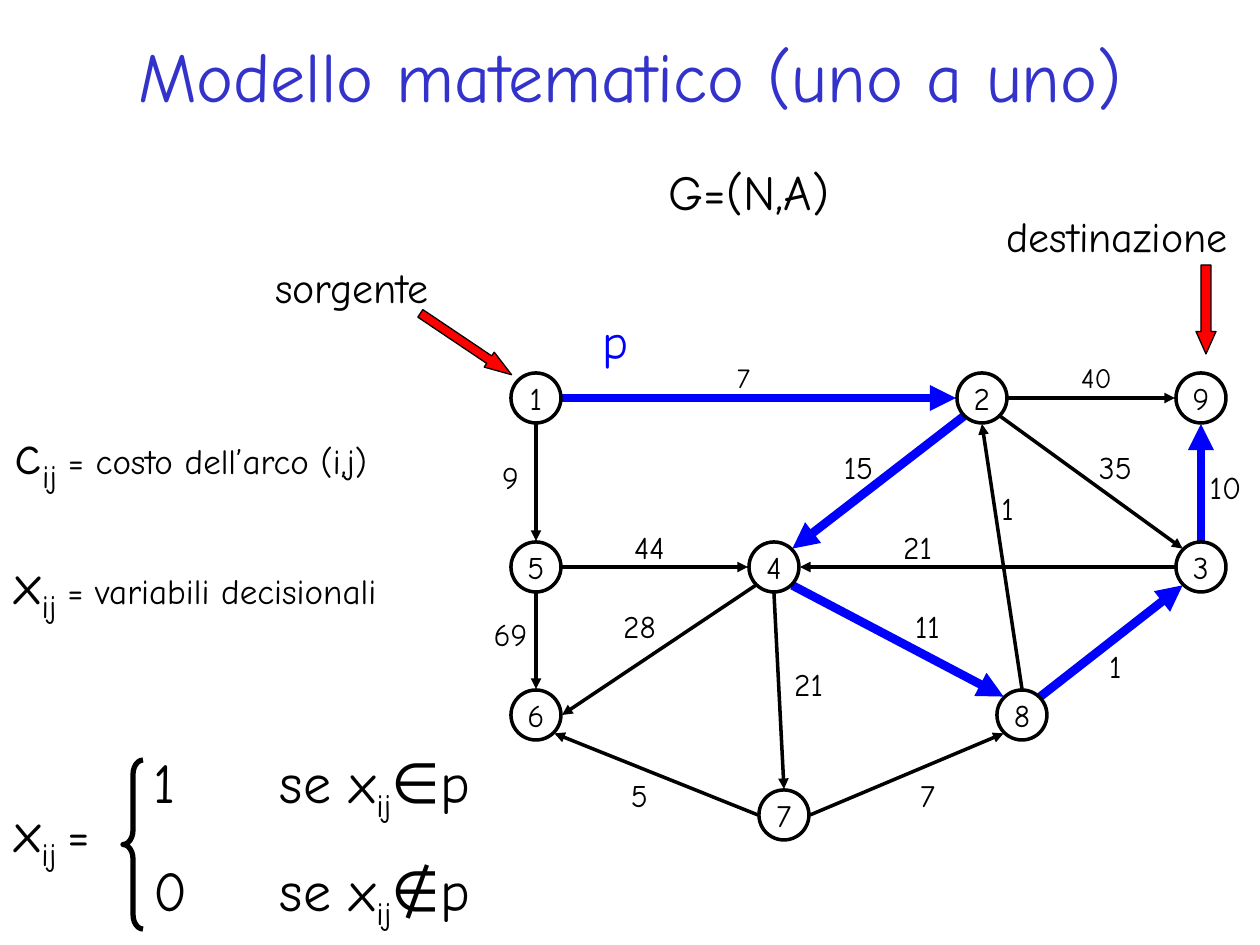
import dataclasses
import math

import pptx
import pptx.dml.color
import pptx.enum.shapes
import pptx.enum.text
import pptx.util
from lxml import etree

SHAPE = pptx.enum.shapes.MSO_SHAPE
ALIGN = pptx.enum.text.PP_ALIGN
MID = pptx.enum.text.MSO_ANCHOR.MIDDLE
SCALE = 914400 / 126


@dataclasses.dataclass(frozen=True)
class Theme:
    font: str = "Comic Neue"
    black: str = "000000"
    white: str = "FFFFFF"
    blue: str = "0000FF"
    red: str = "FF0000"
    head: str = "3333CC"
    title: int = 40
    math: int = 32
    big: int = 28
    name: int = 24
    note: int = 20
    node: int = 18
    small: int = 16


T = Theme()

# Content: lengths in px
TITLE = "Modello matematico (uno a uno)"
NODES = {
    "1": (536, 398), "5": (536, 567), "6": (536, 715),
    "4": (774, 567), "7": (784, 815), "2": (982, 398),
    "3": (1201, 567), "8": (1022, 715), "9": (1201, 398),
}
SIZE, REACH = 50, 26  # node width, distance from node centre to arc end

# from, side, to, side, cost, cost left, cost top, cost size
ARCS = [
    ("1", "S", "5", "N", "9", 481, 452, T.node),
    ("5", "S", "6", "N", "69", 481, 609, T.node),
    ("5", "E", "4", "W", "44", 620, 522, T.node),
    ("4", "S", "7", "N", "21", 779, 659, T.node),
    ("4", "SW", "6", "E", "28", 610, 601, T.node),
    ("7", "W", "6", "SE", "5", 610, 770, T.node),
    ("7", "E", "8", "SW", "7", 898, 770, T.node),
    ("8", "N", "2", "S", "1", 978, 483, T.node),
    ("2", "SE", "3", "NW", "35", 1086, 442, T.node),
    ("2", "E", "9", "W", "40", 1067, 354, T.small),
    ("3", "W", "4", "E", "21", 888, 522, T.node),
    ("1", "E", "2", "W", "7", 714, 354, T.small),
    ("2", "SW", "4", "NE", "15", 829, 442, T.node),
    ("4", "SE", "8", "NW", "11", 898, 601, T.node),
    ("8", "NE", "3", "SW", "1", 1086, 641, T.node),
    ("3", "N", "9", "S", "10", 1196, 462, T.node),
]
PATH = {("1", "2"), ("2", "4"), ("4", "8"), ("8", "3"), ("3", "9")}
SIDES = ["E", "SE", "S", "SW", "W", "NW", "N", "NE"]  # clockwise by 45 degrees

# text, box, size, colour
WORDS = [
    ("G=(N,A)", (650, 155, 198, 72), T.big, T.black),
    ("sorgente", (243, 255, 218, 63), T.name, T.black),
    ("destinazione", (988, 204, 258, 63), T.name, T.black),
    ("p", (591, 304, 49, 72), T.big, T.blue),
]
# start, end, end size, box
TERMS = [
    ("c", "= costo dell’arco (i,j)", T.note, (15, 412, 437, 79)),
    ("x", "= variabili decisionali", T.note, (15, 542, 437, 79)),
    ("x", "=", T.big, (15, 790, 100, 79)),
    ("1\tse x", "∈p", T.math, (154, 741, 338, 79)),
    ("0\tse x", "∉p", T.math, (154, 849, 358, 79)),
]
# box, turn, head ratio
ARROWS = [((457, 289, 18, 110), 303.9, 1.5), ((1196, 265, 20, 89), 0, 1.12)]


def px(num):
    return pptx.util.Emu(round(num * SCALE))


def rgb(code):
    return pptx.dml.color.RGBColor.from_string(code)


def style(font, size, color):
    font.name, font.size = T.font, pptx.util.Pt(size)
    font.color.rgb = rgb(color)


def stroke(line, color, width):
    line.color.rgb, line.width = rgb(color), pptx.util.Pt(width)


def shape(kind, box, fill, width):
    item = slide.shapes.add_shape(kind, *map(px, box))
    item.shadow.inherit = False
    if fill:
        item.fill.solid()
        item.fill.fore_color.rgb = rgb(fill)
    else:
        item.fill.background()
    stroke(item.line, T.black, width)
    return item


def write(frame, text, size, color, align=ALIGN.CENTER):
    frame.margin_left = frame.margin_right = 0
    par = frame.paragraphs[0]
    par.text, par.alignment = text, align
    style(par.font, size, color)
    return par


def label(text, box, size, color=T.black, align=ALIGN.CENTER):
    frame = slide.shapes.add_textbox(*map(px, box)).text_frame
    frame.word_wrap = True
    return write(frame, text, size, color, align)


def port(node, side):
    turn = SIDES.index(side) * math.pi / 4
    x, y = NODES[node]
    return px(x + REACH * math.cos(turn)), px(y + REACH * math.sin(turn))


def arc(start, out, end, into):
    line = slide.shapes.add_connector(
        pptx.enum.shapes.MSO_CONNECTOR.STRAIGHT, *port(start, out), *port(end, into))
    blue = (start, end) in PATH
    stroke(line.line, T.blue if blue else T.black, 5 if blue else 2)
    ns = pptx.oxml.ns.qn
    etree.SubElement(line.line._get_or_add_ln(), ns("a:tailEnd"), type="triangle")
    etree.SubElement(line._element.spPr, ns("a:effectLst"))


def term(start, end, size, box):
    par = label("", box, T.math, align=ALIGN.LEFT)
    if "\t" in start:
        qn = pptx.oxml.ns.qn
        tabs = etree.Element(qn("a:tabLst"))
        etree.SubElement(tabs, qn("a:tab"), pos=str(px(126)), algn="l")
        par._p.get_or_add_pPr().insert(0, tabs)
    gap = "" if size == T.math else " "
    for text, points, base in [(start, T.math, 0), ("ij" + gap, T.math, -25000), (end, size, 0)]:
        run = par.add_run()
        run.text = text
        run.font.size = pptx.util.Pt(points)
        if base:
            run._r.get_or_add_rPr().set("baseline", str(base))


deck = pptx.Presentation()
deck.slide_width, deck.slide_height = px(1260), px(945)
slide = deck.slides.add_slide(deck.slide_layouts[5])

# Title
title = slide.shapes.title
title.left, title.top, title.width, title.height = map(px, (63, 16, 1134, 117))
title.text_frame.auto_size = pptx.enum.text.MSO_AUTO_SIZE.NONE
title.text_frame.vertical_anchor = MID
write(title.text_frame, TITLE, T.title, T.head)

# Graph: arcs, nodes, then costs
for start, out, end, into, *_ in ARCS:
    arc(start, out, end, into)
for name, (x, y) in NODES.items():
    node = shape(SHAPE.OVAL, (x - SIZE / 2, y - SIZE / 2, SIZE, SIZE), T.white, 2)
    node.text_frame.word_wrap = False
    node.text_frame.vertical_anchor = MID
    write(node.text_frame, name, T.node, T.black)
for *_, cost, x, y, size in ARCS:
    label(cost, (x, y, 59, 50), size)

# Names and red arrows
for text, box, size, color in WORDS:
    label(text, box, size, color)
for box, turn, ratio in ARROWS:
    arrow = shape(SHAPE.DOWN_ARROW, box, T.red, 0.75)
    arrow.rotation = turn
    arrow.adjustments[1] = ratio

# Formulas
for item in TERMS:
    term(*item)
brace = shape(SHAPE.LEFT_BRACE, (123, 760, 20, 169), None, 3)
brace.adjustments[0] = 0.72

deck.save("out.pptx")
